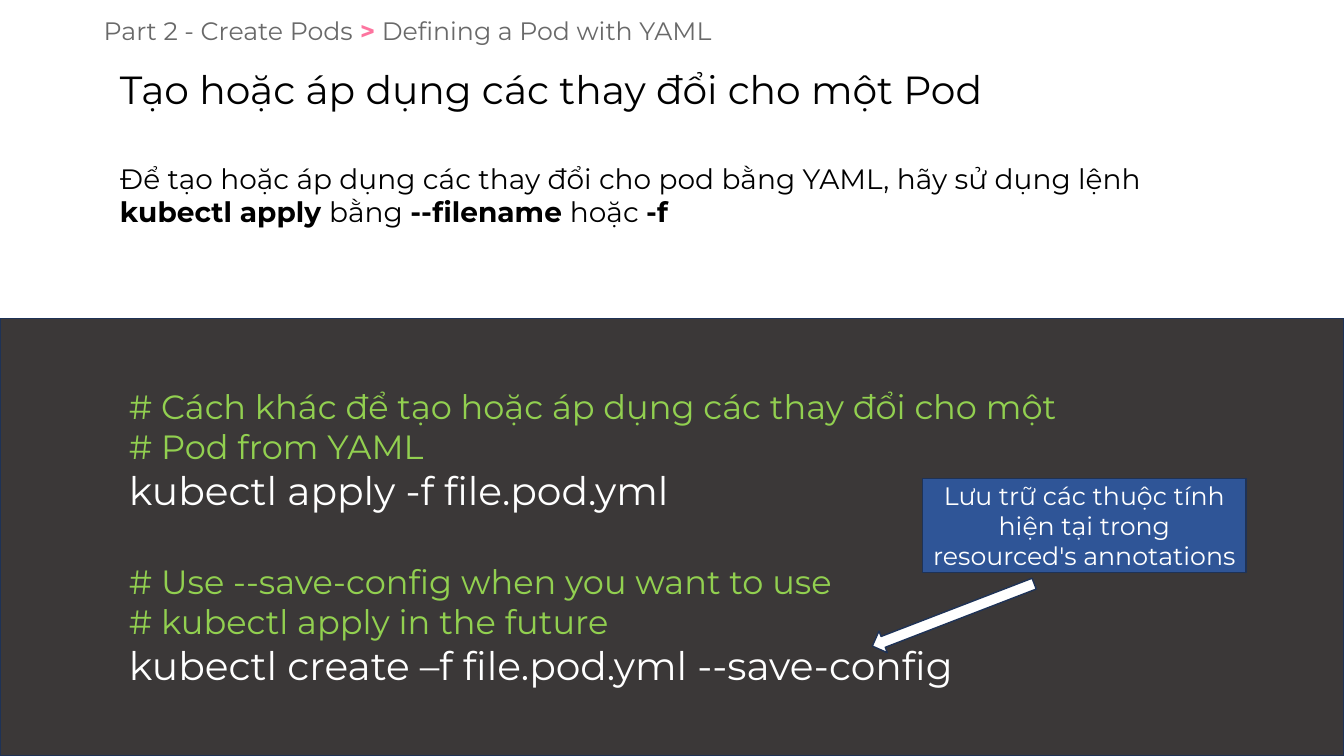
from dataclasses import dataclass

from lxml import etree
from pptx import Presentation, util as u
from pptx.dml.color import RGBColor
from pptx.enum import shapes, text
from pptx.oxml import ns

FONT = "Montserrat"
COLORS = {
    "black": "000000", "white": "FFFFFF", "pink": "FC145C", "green": "92D050",
    "panel": "3B3838", "callout": "2F5597", "outline": "1E3256",
}
LEFT = text.PP_ALIGN.LEFT
CENTER = text.PP_ALIGN.CENTER
TOP = text.MSO_ANCHOR.TOP
MIDDLE = text.MSO_ANCHOR.MIDDLE


@dataclass
class Run:
    text: str
    size: int
    color: str = "black"
    bold: bool = False
    alpha: int = 100


@dataclass
class Para:
    runs: list[Run]
    align: text.PP_ALIGN = LEFT
    indent: float = 0
    before: int = 0


@dataclass
class Block:
    kind: shapes.MSO_SHAPE
    box: tuple[float, float, float, float]
    fill: str
    rotation: float = 0


def rgb(name: str) -> RGBColor:
    return RGBColor.from_string(COLORS[name])


def place(sp, box: tuple[float, float, float, float]) -> None:
    sp.left, sp.top, sp.width, sp.height = map(u.Inches, box)


def write(sp, paras: list[Para], anchor=TOP, wrap: bool = True) -> None:
    tf = sp.text_frame
    tf.word_wrap = wrap
    tf.auto_size = text.MSO_AUTO_SIZE.NONE
    tf.vertical_anchor = anchor
    for i, para in enumerate(paras):
        p = tf.paragraphs[0] if i == 0 else tf.add_paragraph()
        p.alignment = para.align
        p.space_before = u.Pt(para.before)
        pPr = p._p.get_or_add_pPr()
        pPr.set("marL", str(u.Inches(para.indent)))
        pPr.set("indent", "0")
        etree.SubElement(pPr, ns.qn("a:buNone"))
        for run in para.runs:
            r = p.add_run()
            r.text = run.text
            r.font.name = FONT
            r.font.size = u.Pt(run.size)
            r.font.bold = run.bold
            r.font.color.rgb = rgb(run.color)
            if run.alpha < 100:
                clr = r._r.rPr.find(".//" + ns.qn("a:srgbClr"))
                etree.SubElement(clr, ns.qn("a:alpha"), val=str(run.alpha * 1000))


def add_block(s, block: Block):
    sp = s.shapes.add_shape(block.kind, *map(u.Inches, block.box))
    sp.rotation = block.rotation
    sp.shadow.inherit = False
    sp.fill.solid()
    sp.fill.fore_color.rgb = rgb(block.fill)
    sp.line.color.rgb = rgb("outline")
    sp.line.width = u.Pt(1)
    return sp


def comment(line: str, before: int = 0) -> Para:
    return Para([Run(line, 24, "green")], indent=1.18, before=before)


def command(line: str) -> Para:
    return Para([Run(line, 28, "white")], indent=1.18)


TITLE = [Para([Run("Tạo hoặc áp dụng các thay đổi cho một Pod", 28)])]
BODY = [Para([
    Run("Để tạo hoặc áp dụng các thay đổi cho pod bằng YAML, hãy sử dụng lệnh ", 20),
    Run("kubectl apply ", 20, bold=True),
    Run("bằng ", 20),
    Run("--filename ", 20, bold=True),
    Run("hoặc ", 20),
    Run("-f", 20, bold=True),
])]
CODE = [
    comment("# Cách khác để tạo hoặc áp dụng các thay đổi cho một"),
    comment("# Pod from YAML"),
    command("kubectl apply -f file.pod.yml"),
    comment("# Use --save-config when you want to use", before=34),
    comment("# kubectl apply in the future"),
    command("kubectl create –f file.pod.yml --save-config"),
]
NOTE = [Para([Run("Lưu trữ các thuộc tính hiện tại trong resourced's annotations",
                  18, "white")], CENTER)]
BREADCRUMB = [Para([
    Run("Part 2 - Create Pods", 18, alpha=59),
    Run(" >", 18, "pink", bold=True, alpha=59),
    Run(" Defining a Pod with YAML", 18, alpha=59),
])]

RECT = shapes.MSO_SHAPE.RECTANGLE
PANEL = Block(RECT, (0, 3.16, 13.33, 4.34), "panel")
ARROW = Block(shapes.MSO_SHAPE.DOWN_ARROW, (9.34, 5.24, 0.23, 1.72), "white", 68.9)
CALLOUT = Block(RECT, (9.15, 4.75, 3.21, 0.93), "callout")


def main() -> None:
    prs = Presentation()
    prs.slide_width, prs.slide_height = u.Inches(13.33), u.Inches(7.5)
    s = prs.slides.add_slide(prs.slide_layouts[1])

    title, body = s.placeholders
    place(title, (1.09, 0.6, 11.27, 0.57))
    write(title, TITLE)
    place(body, (1.09, 1.55, 11.27, 0.77))
    write(body, BODY)

    write(add_block(s, PANEL), CODE, MIDDLE)
    add_block(s, ARROW)
    write(add_block(s, CALLOUT), NOTE, MIDDLE)

    breadcrumb = s.shapes.add_textbox(*map(u.Inches, (0.93, 0.1, 6.32, 0.4)))
    write(breadcrumb, BREADCRUMB, wrap=False)
    prs.save("out.pptx")


if __name__ == "__main__":
    main()
